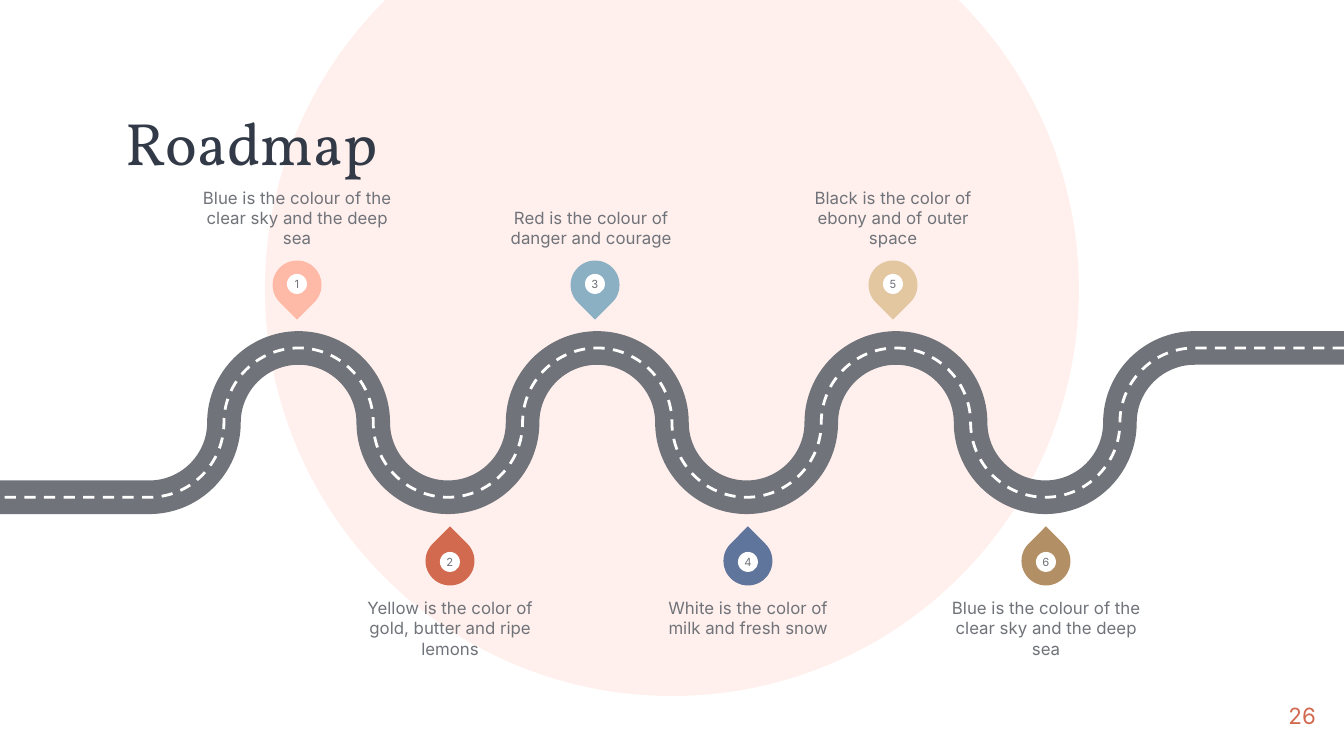
import lxml.etree
import pptx
import pptx.dml.color
import pptx.enum.dml
import pptx.enum.shapes
import pptx.enum.text
import pptx.oxml.ns
import pptx.util

# Content: caption, pin colour, caption shift in px; odd stops sit above the road
TITLE = "Roadmap"
PAGE_NUMBER = "26"
STOPS = [
    ("Blue is the colour of the clear sky and the deep sea", "peach", 0),
    ("Yellow is the color of gold, butter and ripe lemons", "red", 0),
    ("Red is the colour of danger and courage", "sky", -4),
    ("White is the color of milk and fresh snow", "blue", 0),
    ("Black is the color of ebony and of outer space", "sand", 0),
    ("Blue is the colour of the clear sky and the deep sea", "brown", 0),
]
COLORS = {
    "backdrop": "FFF0ED", "title": "333A47", "gray": "707379", "white": "FFFFFF",
    "peach": "FFB9A7", "red": "D26A50", "sky": "8BB0C4", "blue": "5F759B",
    "sand": "E2C7A1", "brown": "B28F64",
}

# Geometry in px
W, H = 1344, 756
EMU = 914400 / 134.4
RADIUS = W / 18
ROAD_TOP = 348
CURVE = 0.55  # control point distance of a quarter circle, in radii
PIN, DOT = 49, 20
STOP_GAP = 298
CAPTION_W, CAPTION_H = 190, 78
ABOVE = {"x": 297, "pin_y": 285, "dot_y": 284, "caption_y": 170, "turn": 135, "anchor": "BOTTOM"}
BELOW = {"x": 450, "pin_y": 561, "dot_y": 562, "caption_y": 598, "turn": 315, "anchor": "TOP"}

SHAPE = pptx.enum.shapes.MSO_SHAPE
ANCHOR = pptx.enum.text.MSO_ANCHOR
ALIGN = pptx.enum.text.PP_ALIGN
qn = pptx.oxml.ns.qn


def px(n):
    return pptx.util.Emu(round(n * EMU))


def rgb(name):
    return pptx.dml.color.RGBColor.from_string(COLORS[name])


def set_text(sp, text, size, color, font="Inter", align=ALIGN.CENTER, anchor="MIDDLE"):
    tf = sp.text_frame
    tf.word_wrap = True
    tf.margin_left = tf.margin_right = tf.margin_top = tf.margin_bottom = 0
    tf.vertical_anchor = ANCHOR[anchor]
    tf.text = text
    p = tf.paragraphs[0]
    p.alignment = align
    r = p.runs[0]
    r.font.size = pptx.util.Pt(size)
    r.font.name = font
    r.font.color.rgb = rgb(color)
    return p


def add_text(shapes, x, y, w, h, *args, **kwargs):
    return set_text(shapes.add_textbox(px(x), px(y), px(w), px(h)), *args, **kwargs)


def add_filled(shapes, kind, cx, cy, size, color):
    sp = shapes.add_shape(kind, px(cx - size / 2), px(cy - size / 2), px(size), px(size))
    sp.shadow.inherit = False
    sp.fill.solid()
    sp.fill.fore_color.rgb = rgb(color)
    sp.line.fill.background()
    return sp


def bend(line, start, end, starts_level):
    """Turn a straight segment into a quarter circle."""
    (x0, y0), (x1, y1) = start, end
    dx, dy = CURVE * (x1 - x0), CURVE * (y1 - y0)
    if starts_level:
        controls = [(x0 + dx, y0), (x1, y1 - dy)]
    else:
        controls = [(x0, y0 + dy), (x1 - dx, y1)]
    line.tag = qn("a:cubicBezTo")
    for i, (x, y) in enumerate(controls):
        pt = lxml.etree.Element(qn("a:pt"), x=str(px(x)), y=str(px(y)))
        line.insert(i, pt)


def add_road(shapes, color, width):
    # Quarter circle ends from right to left: top, middle, bottom, middle, ...
    quarters = range(16, 1, -1)
    levels = (0, RADIUS, 2 * RADIUS, RADIUS)
    ends = [(q * RADIUS, levels[q % 4]) for q in quarters]
    points = [(W, 0), *ends, (0, 2 * RADIUS)]
    start, *rest = [(px(x), px(y)) for x, y in points]
    builder = shapes.build_freeform(*start)
    builder.add_line_segments(rest, close=False)
    sp = builder.convert_to_shape(0, px(ROAD_TOP))
    lines = list(sp.element.iter(qn("a:lnTo")))
    for i, line in enumerate(lines[1:-1]):
        bend(line, ends[i], ends[i + 1], i % 2 == 0)
    sp.shadow.inherit = False
    sp.fill.background()
    sp.line.color.rgb = rgb(color)
    sp.line.width = pptx.util.Pt(width)
    return sp


prs = pptx.Presentation()
prs.slide_width, prs.slide_height = px(W), px(H)
shapes = prs.slides.add_slide(prs.slide_layouts[6]).shapes

# Backdrop circle, cut off at the top edge of the slide
backdrop = add_filled(shapes, SHAPE.CHORD, W / 2, 289, 814, "backdrop")
backdrop.rotation = 270
backdrop.adjustments[0] = 26.74
backdrop.adjustments[1] = 189.22

# Title and page number
p = add_text(shapes, 126, 111, 670, 71, TITLE, 32, "title", font="Vollkorn", align=ALIGN.LEFT)
p.line_spacing = 0.9
add_text(shapes, 1235, 687, 81, 58, PAGE_NUMBER, 12, "red", align=ALIGN.RIGHT)

# Road and its centre line
add_road(shapes, "gray", 18)
add_road(shapes, "white", 1.5).line.dash_style = pptx.enum.dml.MSO_LINE.DASH

# Numbered pins and captions
for i, (caption, color, shift) in enumerate(STOPS):
    row = BELOW if i % 2 else ABOVE
    x = row["x"] + i // 2 * STOP_GAP
    group = shapes.add_group_shape()
    pin = add_filled(group.shapes, SHAPE.TEAR, x, row["pin_y"], PIN, color)
    pin.rotation = row["turn"]
    dot = add_filled(group.shapes, SHAPE.OVAL, x, row["dot_y"], DOT, "white")
    set_text(dot, str(i + 1), 6, "gray")
    add_text(shapes, x - CAPTION_W / 2 + shift, row["caption_y"], CAPTION_W, CAPTION_H,
             caption, 9, "gray", anchor=row["anchor"])

prs.save("out.pptx")
